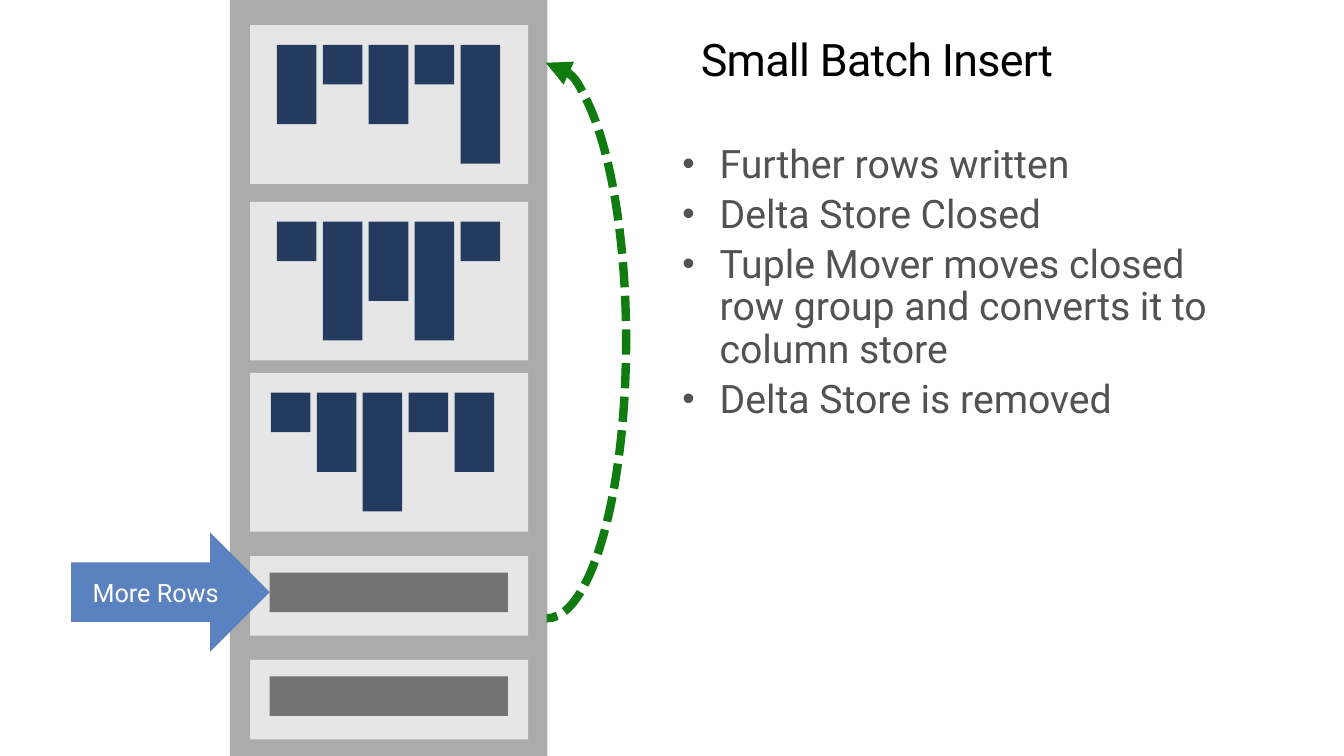
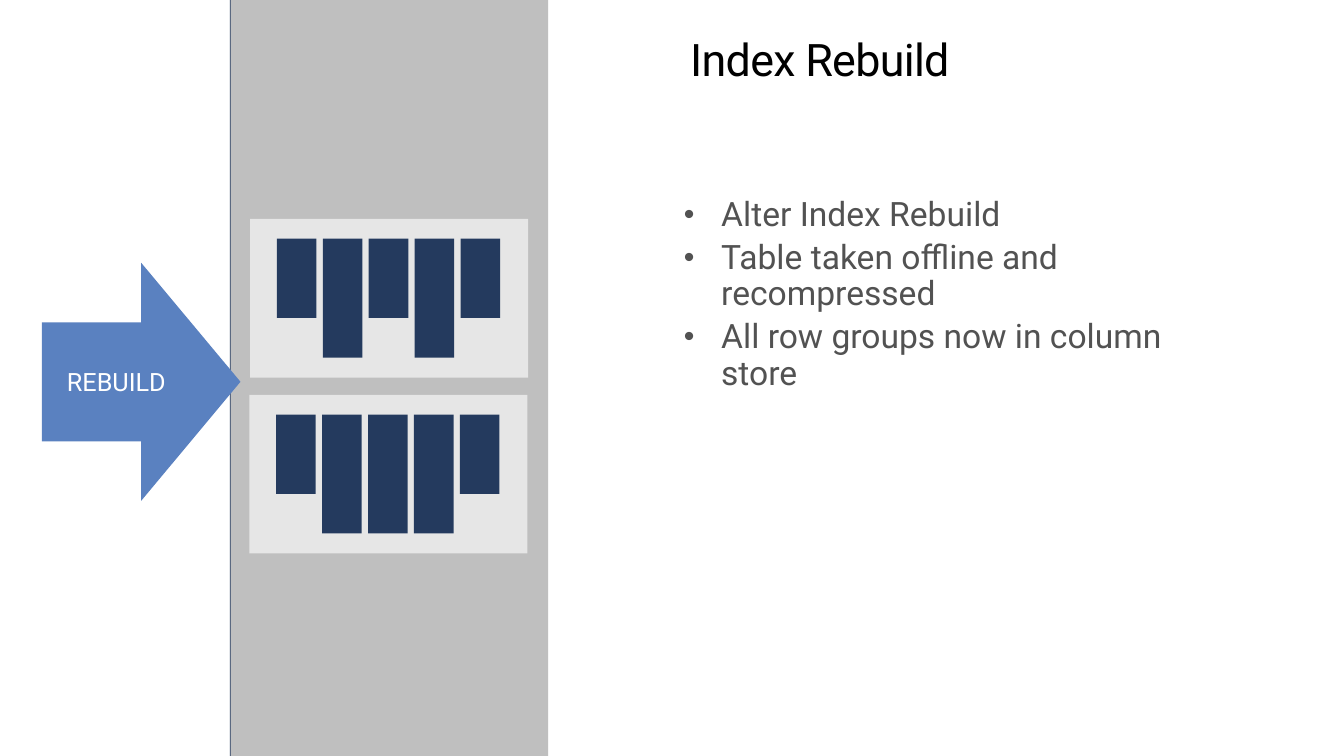
import pptx
import pptx.util
import pptx.dml.color
import pptx.enum.dml
import pptx.enum.shapes
import pptx.enum.text
import pptx.oxml.ns
import lxml.etree

Pt = pptx.util.Pt
SHAPES = pptx.enum.shapes.MSO_SHAPE


def color(value):
    return pptx.dml.color.RGBColor.from_string(value)


def add_xml(parent, tag, **attributes):
    return lxml.etree.SubElement(parent, pptx.oxml.ns.qn(tag), attributes)


class Deck:
    FONT = "Roboto"
    NAVY = "243A5E"
    PANEL = "E6E6E6"
    DELTA = "737373"
    ARROW = "5A81C0"
    GREEN = "107C10"
    BODY = "525252"
    PANEL_LEFT = 178.6
    PANEL_WIDTH = 198.6
    BAR_WIDTH = 28.3
    BAR_PITCH = 32.8
    BAR_UNIT = 28.3

    def __init__(self):
        self.presentation = pptx.Presentation()
        self.presentation.slide_width = Pt(960)
        self.presentation.slide_height = Pt(540)
        self.slide = None

    def new_slide(self):
        self.slide = self.presentation.slides.add_slide(self.presentation.slide_layouts[6])

    def shape(self, kind, left, top, width, height, fill, shapes=None):
        target = self.slide.shapes if shapes is None else shapes
        shape = target.add_shape(kind, Pt(left), Pt(top), Pt(width), Pt(height))
        shape.shadow.inherit = False
        shape.fill.solid()
        shape.fill.fore_color.rgb = color(fill)
        shape.line.fill.background()
        return shape

    def store_column(self, fill, left=164.2):
        self.shape(SHAPES.RECTANGLE, left, -2, 226.8, 542, fill)

    def row_group(self, top, heights, left=PANEL_LEFT, bar_offset=19.2):
        shapes = self.slide.shapes.add_group_shape().shapes
        self.shape(SHAPES.RECTANGLE, left, top, self.PANEL_WIDTH, 113.3, self.PANEL, shapes)
        for index, height in enumerate(heights):
            self.shape(SHAPES.RECTANGLE, left + bar_offset + index * self.BAR_PITCH, top + 14.1,
                       self.BAR_WIDTH, height * self.BAR_UNIT, self.NAVY, shapes)

    def delta_store(self, top):
        self.shape(SHAPES.RECTANGLE, self.PANEL_LEFT, top, self.PANEL_WIDTH, 56.7, self.PANEL)
        self.shape(SHAPES.RECTANGLE, self.PANEL_LEFT + 14.1, top + 11.7, 170.2, 28.3, self.DELTA)

    def block_arrow(self, left, top, height, text):
        shape = self.shape(SHAPES.RIGHT_ARROW, left, top, 141.8, height, self.ARROW)
        shape.text_frame.vertical_anchor = pptx.enum.text.MSO_ANCHOR.MIDDLE
        paragraph = shape.text_frame.paragraphs[0]
        paragraph.alignment = pptx.enum.text.PP_ALIGN.CENTER
        self.run(paragraph, text, 18, "FFFFFF")

    def return_arc(self, left, top, width, height):
        arc = self.shape(SHAPES.ARC, left, top, width, height, self.GREEN)
        arc.fill.background()
        arc.rotation = 180
        arc.adjustments[0] = 53.85
        arc.adjustments[1] = 162.05
        arc.line.color.rgb = color(self.GREEN)
        arc.line.width = Pt(6)
        arc.line.dash_style = pptx.enum.dml.MSO_LINE.SQUARE_DOT
        line = arc.element.spPr.find(pptx.oxml.ns.qn("a:ln"))
        add_xml(line, "a:headEnd", type="triangle")

    def run(self, paragraph, text, size, fill):
        run = paragraph.add_run()
        run.text = text
        run.font.name = self.FONT
        run.font.size = Pt(size)
        run.font.color.rgb = color(fill)
        return run

    def text_frame(self, left, top, width, height):
        frame = self.slide.shapes.add_textbox(Pt(left), Pt(top), Pt(width), Pt(height)).text_frame
        frame.word_wrap = True
        return frame

    def title(self, text, right):
        left = 51.8
        frame = self.text_frame(left, 25.2, right - left, 36.2)
        frame.margin_left = frame.margin_right = frame.margin_top = frame.margin_bottom = 0
        paragraph = frame.paragraphs[0]
        paragraph.alignment = pptx.enum.text.PP_ALIGN.RIGHT
        paragraph.line_spacing = Pt(36.2)
        run = self.run(paragraph, text, 32, "000000")
        run.font._element.set("spc", "-50")

    def bullets(self, left, top, size, items):
        frame = self.text_frame(left, top, 413.3, 342.7)
        for index, item in enumerate(items):
            paragraph = frame.add_paragraph() if index else frame.paragraphs[0]
            paragraph.line_spacing = 0.9
            paragraph.space_before = Pt(size * 0.2)
            properties = paragraph._p.get_or_add_pPr()
            properties.set("marL", str(Pt(26.6)))
            properties.set("indent", str(-Pt(26.6)))
            add_xml(properties, "a:buSzPct", val="90000")
            add_xml(properties, "a:buFont", typeface="Arial")
            add_xml(properties, "a:buChar", char="•")
            self.run(paragraph, item, size, self.BODY)


def build_batch_insert(deck):
    deck.new_slide()
    deck.store_column("ABABAB")
    deck.row_group(18, (2, 1, 2, 1, 3))
    deck.row_group(144.2, (1, 3, 2, 3, 1))
    deck.row_group(266.4, (1, 2, 3, 1, 2), bar_offset=14.9)
    for top in (397.3, 471.4):
        deck.delta_store(top)
    deck.return_arc(334.2, 44.8, 113, 396.8)
    deck.block_arrow(50.9, 380.4, 85, "More Rows")
    deck.bullets(480.4, 99.5, 28, (
        "Further rows written",
        "Delta Store Closed",
        "Tuple Mover moves closed row group and converts it to column store",
        "Delta Store is removed",
    ))
    deck.title("Small Batch Insert", 752.2)


def build_index_rebuild(deck):
    deck.new_slide()
    deck.store_column(deck.NAVY)
    deck.bullets(481.5, 137.6, 24, (
        "Alter Index Rebuild",
        "Table taken offline and recompressed",
        "All row groups now in column store",
    ))
    deck.store_column("BFBFBF", 164.8)
    deck.row_group(156.4, (2, 3, 2, 3, 2))
    deck.row_group(282, (2, 3, 3, 3, 2), left=178.1)
    deck.block_arrow(30, 187.7, 170, "REBUILD")
    deck.title("Index Rebuild", 678.2)


def main():
    deck = Deck()
    build_batch_insert(deck)
    build_index_rebuild(deck)
    deck.presentation.save("out.pptx")


if __name__ == "__main__":
    main()
